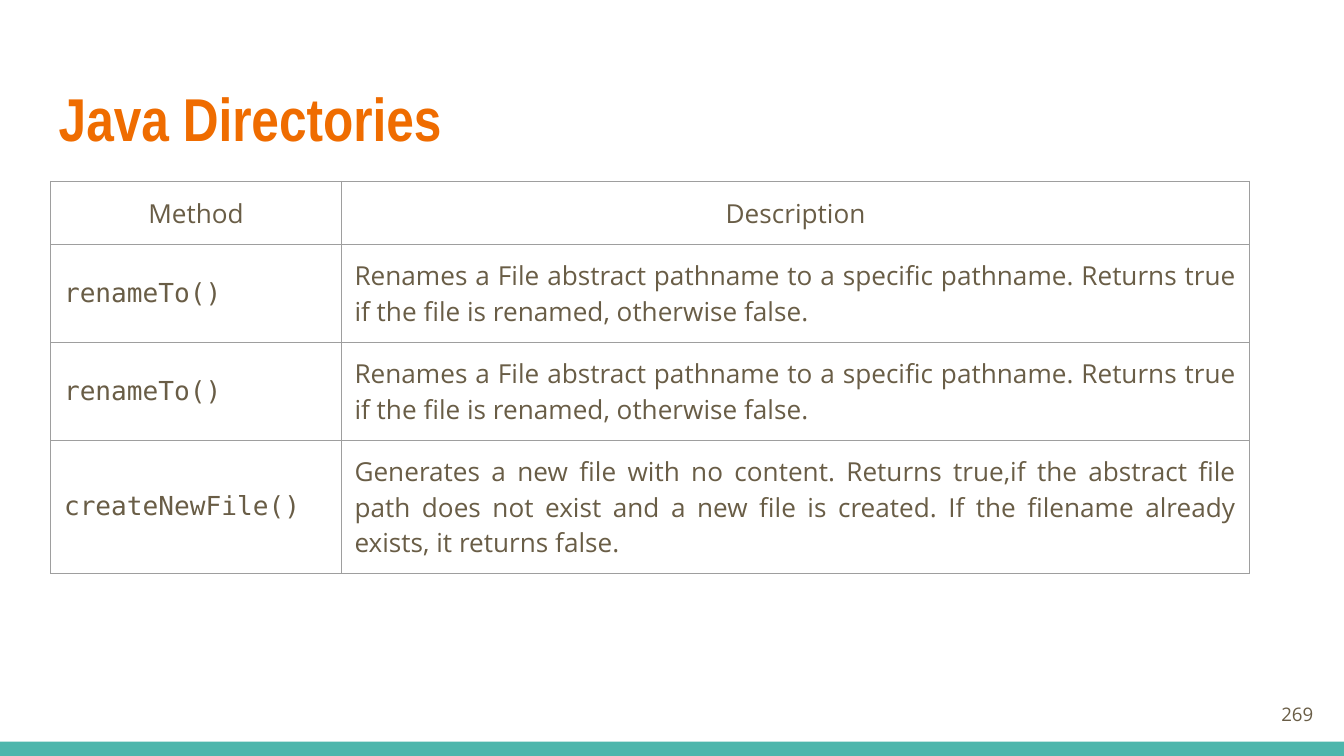
from lxml import etree
from pptx import Presentation
from pptx.dml.color import RGBColor
from pptx.enum.shapes import MSO_SHAPE
from pptx.enum.text import MSO_ANCHOR, MSO_AUTO_SIZE, PP_ALIGN
from pptx.oxml.ns import qn
from pptx.util import Cm, Pt

LEFT, CENTER, RIGHT, JUSTIFY = PP_ALIGN.LEFT, PP_ALIGN.CENTER, PP_ALIGN.RIGHT, PP_ALIGN.JUSTIFY
MIDDLE = MSO_ANCHOR.MIDDLE
RECTANGLE = MSO_SHAPE.RECTANGLE
NO_FIT = MSO_AUTO_SIZE.NONE

TEAL, ORANGE, BROWN, GRAY = "4DB6AC", "EF6C00", "695D46", "9E9E9E"
INSET = Cm(0.25)
MARGINS = dict.fromkeys(("margin_left", "margin_top", "margin_right", "margin_bottom"), INSET)
BODY = {"name": "Open Sans", "size": Pt(14), "bold": False}
CODE = {**BODY, "name": "DejaVu Sans Mono"}
SMALL = {**BODY, "size": Pt(10)}
HEADING = {"name": "Arial Narrow", "size": Pt(32.4), "bold": True}

COLUMN_WIDTHS = (5.49, 17.17)
ROW_HEIGHTS = (1.19, 1.85, 1.85, 2.52)
RENAME = (
    "renameTo()",
    "Renames a File abstract pathname to a specific pathname. "
    "Returns true if the file is renamed, otherwise false.",
)
METHODS = (
    ("Method", "Description"),
    RENAME,
    RENAME,
    (
        "createNewFile()",
        "Generates a new file with no content. Returns true,if the abstract file path "
        "does not exist and a new file is created. If the filename already exists, "
        "it returns false.",
    ),
)


def color(value):
    return RGBColor.from_string(value)


def apply(target, values):
    for name, value in values.items():
        setattr(target, name, value)


def write(frame, text, font, ink, align):
    para = frame.paragraphs[0]
    para.alignment = align
    span = para.add_run()
    span.text = text
    apply(span.font, font)
    span.font.color.rgb = color(ink)


def add_title(page, box, text):
    title = page.shapes.title
    apply(title, dict(zip(("left", "top", "width", "height"), map(Cm, box))))
    frame = title.text_frame
    apply(frame, {**MARGINS, "vertical_anchor": MIDDLE, "word_wrap": True, "auto_size": NO_FIT})
    write(frame, text, HEADING, ORANGE, LEFT)


def add_footer_bar(page, box):
    bar = page.shapes.add_shape(RECTANGLE, *map(Cm, box))
    bar.shadow.inherit = False
    bar.fill.solid()
    bar.fill.fore_color.rgb = color(TEAL)
    bar.line.fill.background()


def add_page_number(page, box, text):
    frame = page.shapes.add_textbox(*map(Cm, box)).text_frame
    apply(frame, {**MARGINS, "vertical_anchor": MIDDLE, "word_wrap": True})
    write(frame, text, SMALL, BROWN, RIGHT)


def add_borders(cell):
    properties = cell._tc.get_or_add_tcPr()
    for side in ("a:lnL", "a:lnR", "a:lnT", "a:lnB"):
        line = etree.SubElement(properties, qn(side), w=str(Pt(0.75)))
        fill = etree.SubElement(line, qn("a:solidFill"))
        etree.SubElement(fill, qn("a:srgbClr"), val=GRAY)


def add_method_table(page, left, top):
    size = (sum(COLUMN_WIDTHS), sum(ROW_HEIGHTS))
    table = page.shapes.add_table(
        len(METHODS), len(COLUMN_WIDTHS), *map(Cm, (left, top, *size))
    ).table
    apply(table, {"first_row": False, "horz_banding": False})
    for column, width in zip(table.columns, COLUMN_WIDTHS):
        column.width = Cm(width)
    for row, height in zip(table.rows, ROW_HEIGHTS):
        row.height = Cm(height)
    for r, texts in enumerate(METHODS):
        styles = ((CODE, LEFT), (BODY, JUSTIFY)) if r else ((BODY, CENTER),) * 2
        for c, (text, (font, align)) in enumerate(zip(texts, styles)):
            cell = table.cell(r, c)
            apply(cell, {**MARGINS, "vertical_anchor": MIDDLE})
            add_borders(cell)
            cell.fill.background()
            write(cell.text_frame, text, font, BROWN, align)


def main():
    deck = Presentation()
    apply(deck, {"slide_width": Cm(25.4), "slide_height": Cm(14.29)})
    page = deck.slides.add_slide(deck.slide_layouts.get_by_name("Title Only"))
    add_footer_bar(page, (0, 14.02, 25.4, 0.27))
    add_title(page, (0.86, 1.24, 23.67, 1.96), "Java Directories")
    add_page_number(page, (23.55, 12.95, 1.52, 1.09), "269")
    add_method_table(page, 0.96, 3.43)
    deck.save("out.pptx")


if __name__ == "__main__":
    main()
